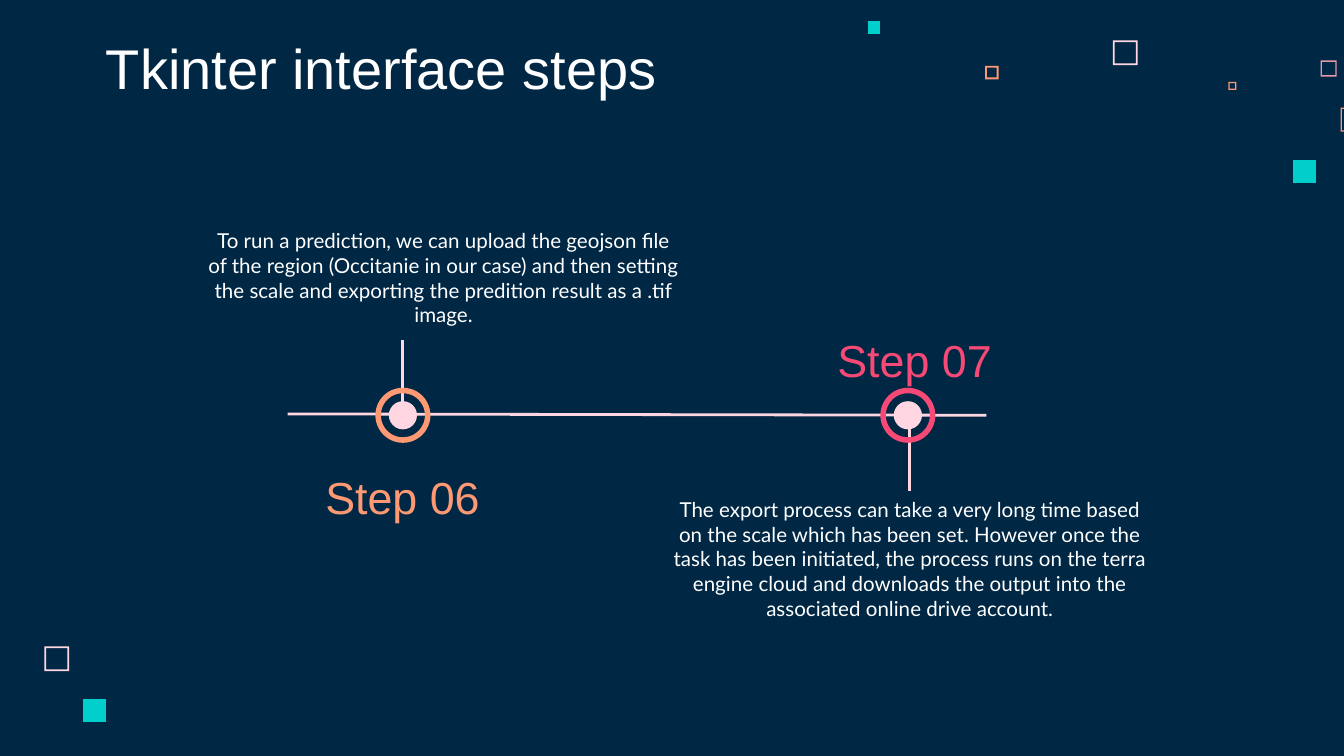
"""Build a two-step timeline slide on a grid of 100 columns by 56.25 rows."""
from dataclasses import dataclass

import pptx
import pptx.dml.color
import pptx.enum.shapes
import pptx.enum.text
import pptx.oxml
import pptx.util

COLUMNS, ROWS = 100, 56.25
CELL = pptx.util.Inches(0.1)
COLORS = {
    "navy": "002845", "white": "FFFFFF", "blush": "FFD6E1", "rose": "E898AC",
    "orange": "FF9973", "pink": "F64975", "teal": "00CFCC",
}
ALIGN = pptx.enum.text.PP_ALIGN
ANCHOR = pptx.enum.text.MSO_ANCHOR
SHAPE = pptx.enum.shapes.MSO_SHAPE


@dataclass
class Square:
    column: float
    row: float
    size: float
    color: str
    border: float = 0


@dataclass
class Label:
    text: str
    column: float
    row: float
    width: float
    height: float
    size: int
    color: str = "white"
    font: str = "Arial"
    align: ALIGN = ALIGN.CENTER
    anchor: ANCHOR = ANCHOR.MIDDLE
    wrap: bool = True
    vertical_inset: float = 1


@dataclass
class Line:
    start: tuple[float, float]
    end: tuple[float, float]


@dataclass
class Marker:
    column: float
    row: float
    color: str


SQUARES = [
    Square(82.8, 3, 1.85, "blush", 0.13),
    Square(98.25, 4.5, 1.2, "rose", 0.1),
    Square(91.4, 6.1, 0.6, "orange", 0.1),
    Square(99.75, 8, 1.8, "orange", 0.1),
    Square(96.2, 11.9, 1.7, "teal"),
    Square(73.3, 4.9, 1, "orange", 0.13),
    Square(64.6, 1.6, 0.9, "teal"),
    Square(3.3, 48.1, 1.85, "blush", 0.13),
    Square(6.2, 52, 1.7, "teal"),
]
LINES = [
    Line((29.95, 25.3), (29.95, 30.3)),
    Line((67.7, 31.6), (67.7, 36.5)),
    Line((21.4, 30.8), (73.4, 30.9)),
]
MARKERS = [Marker(29.98, 30.9, "orange"), Marker(67.55, 30.9, "pink")]
LABELS = [
    Label("Tkinter interface steps", 6.9, 2.2, 51.7, 6.3, 30,
          align=ALIGN.LEFT, anchor=ANCHOR.BOTTOM),
    Label("Step 06", 22.9, 34.6, 14.1, 4.7, 24, "orange", wrap=False),
    Label("Step 07", 61, 24.4, 14.1, 4.7, 24, "pink", wrap=False),
    Label("To run a prediction, we can upload the geojson file of the region "
          "(Occitanie in our case) and then setting the scale and exporting "
          "the predition result as a .tif image.",
          14.4, 16.5, 37.2, 8.4, 11, font="Lato", anchor=ANCHOR.TOP, vertical_inset=0.5),
    Label("The export process can take a very long time based on the scale "
          "which has been set. However once the task has been initiated, the "
          "process runs on the terra engine cloud and downloads the output "
          "into the associated online drive account.",
          49.1, 36.5, 37.2, 10.3, 11, font="Lato", anchor=ANCHOR.TOP, vertical_inset=0.5),
]


def cells(*counts: float) -> list[int]:
    """Convert grid cells to slide lengths."""
    return [round(count * CELL) for count in counts]


def rgb(color: str) -> pptx.dml.color.RGBColor:
    """Look up a named colour."""
    return pptx.dml.color.RGBColor.from_string(COLORS[color])


def paint(shape, color: str) -> None:
    """Give a shape a flat fill without line or shadow."""
    shape.shadow.inherit = False
    shape.fill.solid()
    shape.fill.fore_color.rgb = rgb(color)
    shape.line.fill.background()


def draw_square(slide, square: Square) -> None:
    """Draw a solid square, or a hollow one if it has a border."""
    left, top, right, bottom = cells(square.column, square.row,
                                     square.column + square.size, square.row + square.size)
    builder = slide.shapes.build_freeform(left, top)
    builder.add_line_segments([(left, bottom), (right, bottom), (right, top)])
    if square.border:
        border, = cells(square.border)
        left, top, right, bottom = left + border, top + border, right - border, bottom - border
        builder.move_to(right, top)
        builder.add_line_segments([(right, bottom), (left, bottom), (left, top)])
    paint(builder.convert_to_shape(), square.color)


def draw_line(slide, line: Line) -> None:
    """Draw a straight timeline stroke."""
    connector = slide.shapes.add_connector(pptx.enum.shapes.MSO_CONNECTOR.STRAIGHT,
                                           *cells(*line.start, *line.end))
    connector.line.color.rgb = rgb("blush")
    connector.line.width = pptx.util.Pt(1.5)
    effects = pptx.oxml.parse_xml(
        '<a:effectLst xmlns:a="http://schemas.openxmlformats.org/drawingml/2006/main"/>')
    connector._element.spPr.append(effects)


def draw_marker(slide, marker: Marker) -> None:
    """Draw a dot inside a coloured ring."""
    group = slide.shapes.add_group_shape()
    for kind, size, color in ((SHAPE.OVAL, 2.1, "blush"), (SHAPE.DONUT, 4.1, marker.color)):
        shape = group.shapes.add_shape(
            kind, *cells(marker.column - size / 2, marker.row - size / 2, size, size))
        if kind == SHAPE.DONUT:
            shape.adjustments[0] = 0.1
        paint(shape, color)


def draw_label(slide, label: Label) -> None:
    """Write one paragraph in a text box."""
    box = slide.shapes.add_textbox(*cells(label.column, label.row, label.width, label.height))
    frame = box.text_frame
    frame.word_wrap = label.wrap
    frame.vertical_anchor = label.anchor
    frame.margin_top, frame.margin_bottom = cells(label.vertical_inset, label.vertical_inset)
    frame.text = label.text
    paragraph = frame.paragraphs[0]
    paragraph.alignment = label.align
    font = paragraph.runs[0].font
    font.name, font.size = label.font, pptx.util.Pt(label.size)
    font.color.rgb = rgb(label.color)


def main() -> None:
    """Build and save the presentation."""
    presentation = pptx.Presentation()
    presentation.slide_width, presentation.slide_height = cells(COLUMNS, ROWS)
    slide = presentation.slides.add_slide(presentation.slide_layouts[6])
    slide.background.fill.solid()
    slide.background.fill.fore_color.rgb = rgb("navy")
    for draw, items in ((draw_square, SQUARES), (draw_line, LINES),
                        (draw_marker, MARKERS), (draw_label, LABELS)):
        for item in items:
            draw(slide, item)
    presentation.save("out.pptx")


if __name__ == "__main__":
    main()
